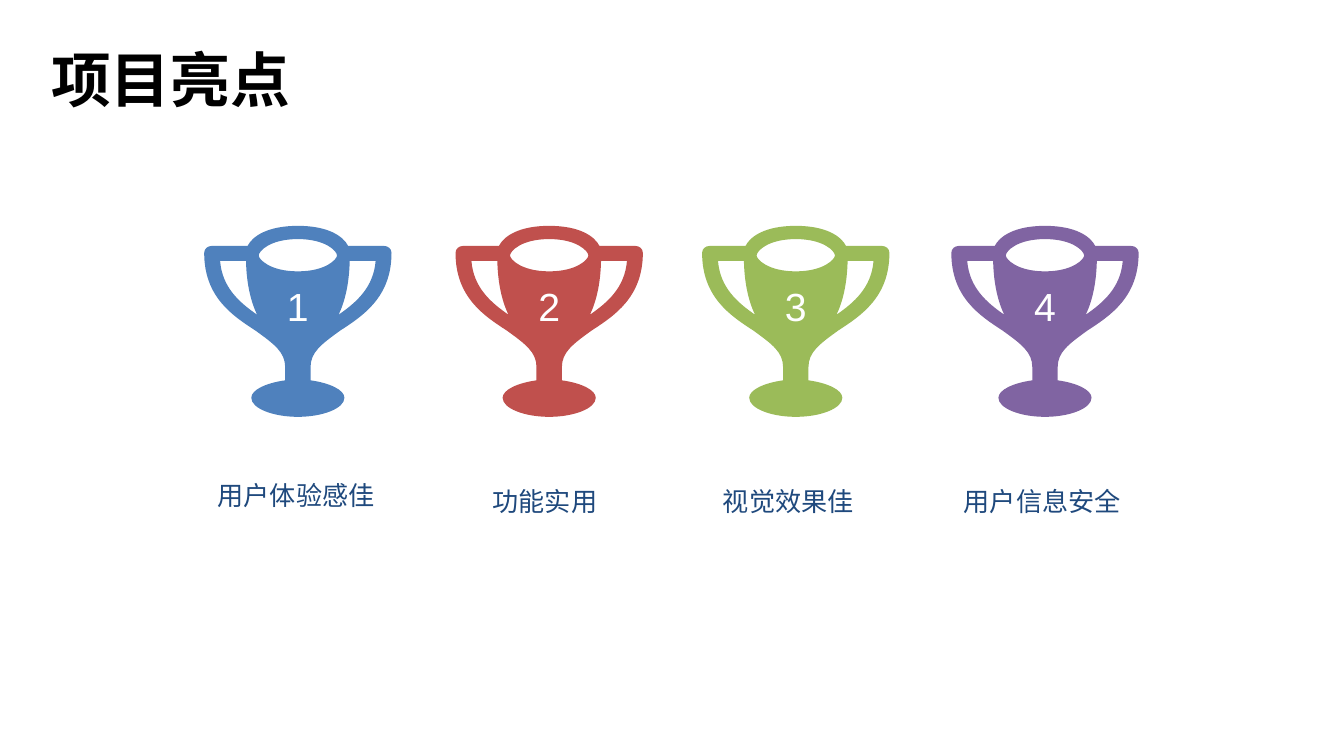
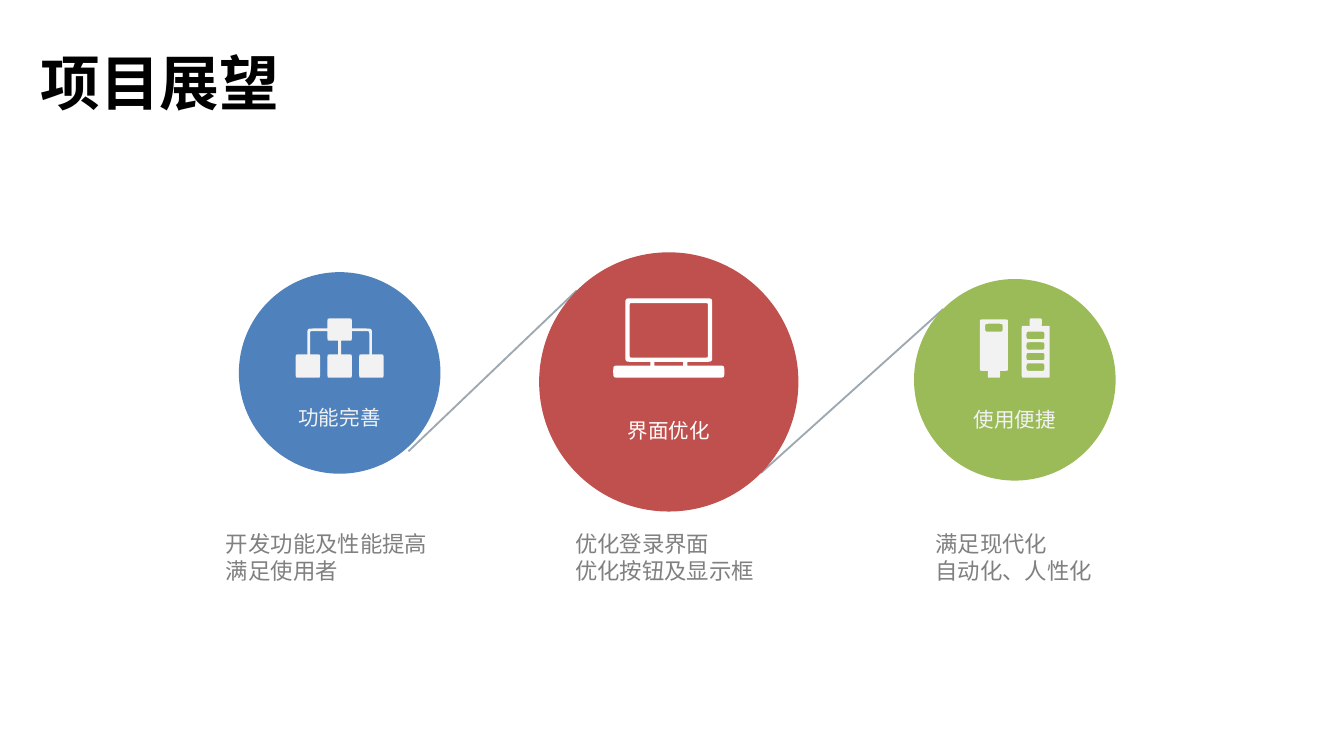
from pptx import Presentation
from pptx.dml.color import RGBColor
from pptx.enum.lang import MSO_LANGUAGE_ID as Language
from pptx.enum.shapes import MSO_CONNECTOR as Connector, MSO_SHAPE as Preset
from pptx.enum.text import MSO_ANCHOR as Anchor, MSO_AUTO_SIZE as AutoSize, PP_ALIGN as Align
from pptx.oxml.ns import qn
from pptx.util import Cm, Pt
from lxml.etree import SubElement

COLORS = {
    "blue": "4F81BD", "red": "C0504D", "green": "9BBB59", "purple": "8064A2",
    "navy": "1F497D", "gray": "808080", "link": "9DA8B1",
    "white": "FFFFFF", "pale": "F2F2F2", "black": "000000",
}
LATIN = "Arial"
CHINESE = "Noto Sans CJK SC"
UNIT = Cm(0.01)

CUP_EDGE = [
    (0, 0), (58, 0, 86, 20, 95, 38), (163, 38), (170, 38, 177, 43, 177, 51),
    (177, 135, 123, 170, 80, 198), (44, 224, 24, 239, 24, 267), (24, 292),
    (60, 297, 88, 310, 88, 325), (88, 345, 47, 361, 0, 361),
]
CUP_MOUTH = [(0, 25), (53, 25, 74, 48, 74, 56), (74, 63, 53, 86, 0, 86)]
CUP_HANDLE = [(77, 168), (88, 145, 97, 112, 98, 66), (147, 66), (143, 117, 110, 145, 77, 168)]

TROPHIES = [
    (5.63, "blue", "用户体验感佳", 5.6, 8.64, LATIN),
    (10.38, "red", "功能实用", 10.3, 8.74, CHINESE),
    (15.04, "green", "视觉效果佳", 14.9, 8.74, LATIN),
    (19.75, "purple", "用户信息安全", 19.7, 8.74, LATIN),
]


def rgb(name):
    return RGBColor.from_string(COLORS[name])


def pairs(segment):
    return list(zip(segment[::2], segment[1::2]))


def mirror(segments):
    x, y = segments[-1][-2:]
    flipped = [(-x, y)]
    for before, segment in reversed(list(zip(segments, segments[1:]))):
        points = pairs(segment)[-2::-1] + [before[-2:]]
        flipped.append(tuple(value for x, y in points for value in (-x, y)))
    return flipped


def closed(half):
    return half + mirror(half)[1:]


def both_sides(segments):
    return [segments, mirror(segments)]


def rectangle(left, top, right, bottom):
    return [(left, top), (right, top), (right, bottom), (left, bottom)]


def rounded(left, top, right, bottom, r):
    return [
        (left + r, top), (right - r, top), (right, top, right, top, right, top + r),
        (right, bottom - r), (right, bottom, right, bottom, right - r, bottom),
        (left + r, bottom), (left, bottom, left, bottom, left, bottom - r),
        (left, top + r), (left, top, left, top, left + r, top),
    ]


def trophy_outline():
    return [closed(CUP_EDGE), closed(CUP_MOUTH)] + both_sides(CUP_HANDLE)


def hierarchy_icon():
    bracket = [
        (23, 19), (50, 19), (61, 19, 61, 19, 61, 30), (61, 68),
        (56, 68), (56, 30), (56, 24, 56, 24, 50, 24), (23, 24),
    ]
    boxes = [rounded(x - 23, 68, x + 23, 112, 4) for x in (-60, 0, 60)]
    return boxes + [rounded(-23, 0, 23, 42, 4), rectangle(-3, 42, 3, 68)] + both_sides(bracket)


def laptop_icon():
    screen = [rounded(-82, 0, 82, 120, 11), rounded(-74, 9, 74, 112, 4)]
    return screen + [rounded(-105, 127, 105, 150, 11)] + both_sides(rectangle(27, 120, 35, 127))


def battery_icon():
    drive = [rounded(-66, 2, -13, 99, 4), rounded(-51, 99, -28, 112, 3), rounded(-56, 10, -23, 25, 7)]
    battery = [rounded(13, 14, 66, 112, 4), rounded(28, 0, 51, 14, 3)]
    return drive + battery + [rounded(22, 25 + 20 * i, 56, 39 + 20 * i, 7) for i in range(4)]


def paint(shape, color):
    shape.shadow.inherit = False
    shape.fill.solid()
    shape.fill.fore_color.rgb = rgb(color)
    shape.line.fill.background()


def bend_curves(shape, contours):
    lines = iter(list(shape._element.iter(qn("a:lnTo"))))
    for contour in contours:
        for segment in contour[1:]:
            line = next(lines)
            if len(segment) == 6:
                line.tag = qn("a:cubicBezTo")
                for extra in (next(lines), next(lines)):
                    line.append(extra[0])
                    line.getparent().remove(extra)


def add_outline(shapes, contours, x, y, color):
    builder = shapes.build_freeform(*contours[0][0], scale=UNIT)
    for index, contour in enumerate(contours):
        if index:
            builder.move_to(*contour[0])
        builder.add_line_segments([point for segment in contour[1:] for point in pairs(segment)])
    shape = builder.convert_to_shape(Cm(x), Cm(y))
    bend_curves(shape, contours)
    paint(shape, color)


def write(frame, lines, size, color, font=LATIN, align=Align.LEFT, spacing=None, bold=False):
    frame.text = "\n".join(lines)
    for para in frame.paragraphs:
        para.alignment = align
        if spacing:
            para.line_spacing = spacing
        para.font.name = font
        para.font.size = Pt(size)
        para.font.bold = bold
        para.font.color.rgb = rgb(color)
        para.font.language_id = Language.SIMPLIFIED_CHINESE


def add_text(shapes, left, top, width, height, lines, size, color, insets=(0.25, 0.13), **style):
    box = shapes.add_textbox(Cm(left), Cm(top), Cm(width), Cm(height))
    frame = box.text_frame
    frame.word_wrap = True
    frame.margin_left = frame.margin_right = Cm(insets[0])
    frame.margin_top = frame.margin_bottom = Cm(insets[1])
    write(frame, lines, size, color, **style)


def add_centered(shapes, center, top, width, height, text, size, color, **style):
    add_text(shapes, center - width / 2, top, width, height, [text], size, color,
             align=Align.CENTER, **style)


def add_titled_slide(deck, title, left, top):
    slide = deck.slides.add_slide(deck.slide_layouts[5])
    box = slide.shapes.title
    box.left, box.top, box.width, box.height = Cm(left), Cm(top), Cm(5.08), Cm(1.63)
    frame = box.text_frame
    frame.word_wrap = False
    frame.auto_size = AutoSize.NONE
    frame.vertical_anchor = Anchor.TOP
    write(frame, [title], 32, "black", font=CHINESE, bold=True)
    return slide


def add_link(shapes, x1, y1, x2, y2):
    link = shapes.add_connector(Connector.STRAIGHT, Cm(x1), Cm(y1), Cm(x2), Cm(y2))
    link.line.color.rgb = rgb("link")
    link.line.width = Pt(1)
    SubElement(link._element.spPr, qn("a:effectLst"))


def add_badge(slide, x, y, diameter, color, icon, icon_top, label, label_top, ink):
    shapes = slide.shapes.add_group_shape().shapes
    disc = shapes.add_shape(Preset.OVAL, Cm(x - diameter / 2), Cm(y - diameter / 2),
                            Cm(diameter), Cm(diameter))
    paint(disc, color)
    add_outline(shapes, icon, x, icon_top, ink)
    add_centered(shapes, x, label_top, 3.18, 0.76, label, 11, ink, spacing=1.2)


def add_highlights(deck):
    shapes = add_titled_slide(deck, "项目亮点", 0.71, 0.69).shapes
    for number, (x, color, caption, caption_x, caption_top, font) in enumerate(TROPHIES, 1):
        add_outline(shapes, trophy_outline(), x, 4.27, color)
        add_centered(shapes, x, 5.33, 1.88, 0.89, str(number), 21, "white", insets=(0, 0))
        add_centered(shapes, caption_x, caption_top, 3.58, 3.33, caption, 14, "navy",
                     font=font, spacing=1.5)


def add_outlook(deck):
    slide = add_titled_slide(deck, "项目展望", 0.51, 0.74)
    add_link(slide.shapes, 7.72, 8.53, 10.9, 5.49)
    add_link(slide.shapes, 14.38, 8.94, 17.83, 5.84)
    add_badge(slide, 12.64, 7.22, 4.9, "red", laptop_icon(), 5.64, "界面优化", 7.67, "white")
    add_badge(slide, 19.18, 7.18, 3.81, "green", battery_icon(), 6.02, "使用便捷", 7.47, "pale")
    add_badge(slide, 6.42, 7.05, 3.81, "blue", hierarchy_icon(), 6.02, "功能完善", 7.44, "pale")
    for left, width, lines in (
        (4.09, 4.24, ["开发功能及性能提高", "满足使用者"]),
        (10.69, 3.81, ["优化登录界面", "优化按钮及显示框"]),
        (17.5, 3.38, ["满足现代化", "自动化、人性化"]),
    ):
        add_text(slide.shapes, left, 9.93, width, 1.22, lines, 12, "gray",
                 insets=(0.18, 0.1), font=CHINESE)


def main():
    deck = Presentation()
    deck.slide_width, deck.slide_height = Cm(25.4), Cm(14.29)
    add_highlights(deck)
    add_outlook(deck)
    deck.save("out.pptx")


if __name__ == "__main__":
    main()
